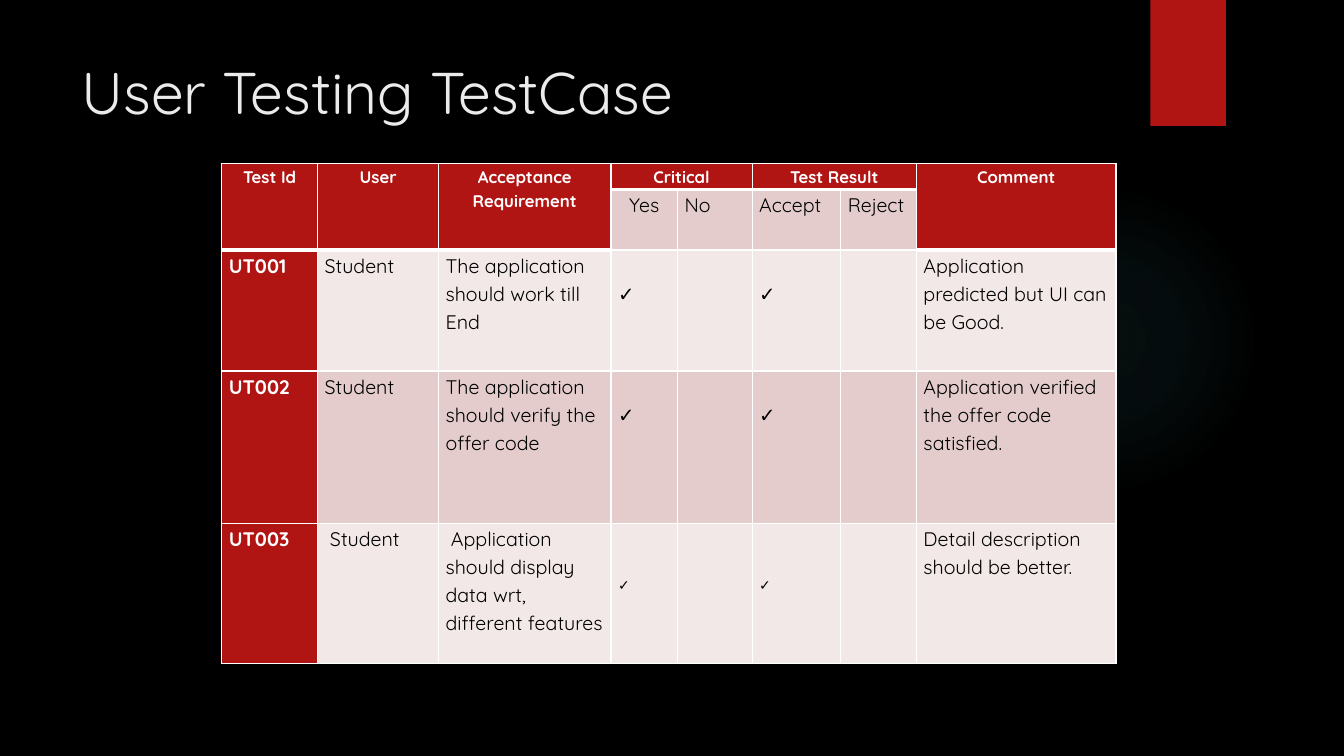
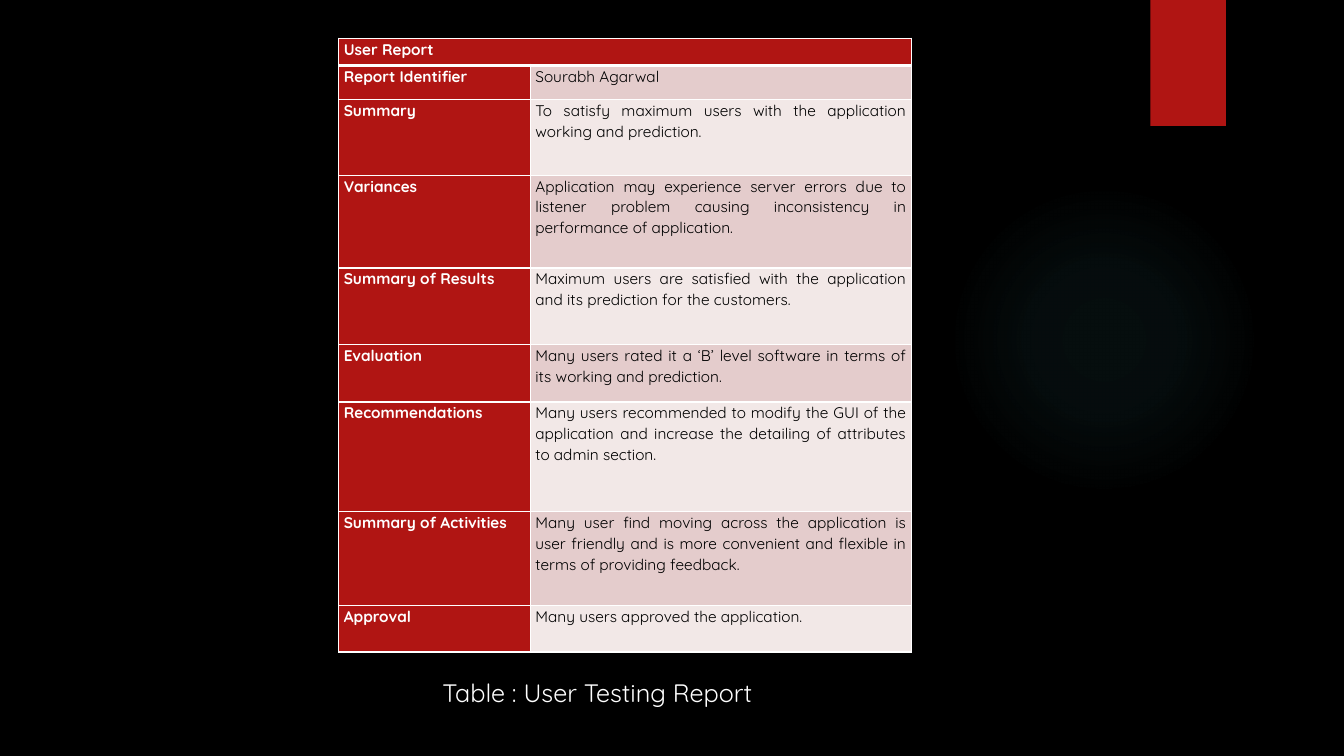
from lxml import etree
from pptx import Presentation
from pptx.dml.color import RGBColor
from pptx.enum.shapes import MSO_SHAPE
from pptx.enum.text import MSO_ANCHOR, PP_ALIGN
from pptx.oxml import parse_xml
from pptx.oxml.ns import qn
from pptx.util import Inches, Pt

RECTANGLE, OVAL = MSO_SHAPE.RECTANGLE, MSO_SHAPE.OVAL
TOP = MSO_ANCHOR.TOP
LEFT, CENTER, JUSTIFY = PP_ALIGN.LEFT, PP_ALIGN.CENTER, PP_ALIGN.JUSTIFY

FONT = "Quicksand"
COLORS = {
    "background": "000000",
    "accent": "B01513",
    "glow": "50B9C1",
    "title": "EBEBEB",
    "white": "FFFFFF",
    "text": "000000",
    "dark_band": "E4CCCC",
    "light_band": "F2E8E7",
}
GLOW_STOPS = [(0, 7), (36, 6), (69, 0)]
TICK = "✓"


def color(name):
    return RGBColor.from_string(COLORS[name])


class Deck:
    """Presentation style together with the slide being built."""

    def __init__(self):
        self.presentation = Presentation()
        self.presentation.slide_width = Inches(13.33)
        self.presentation.slide_height = Inches(7.5)
        fill = self.presentation.slide_master.background.fill
        fill.solid()
        fill.fore_color.rgb = color("background")
        self.slide = None

    def new_slide(self):
        self.slide = self.presentation.slides.add_slide(self.presentation.slide_layouts[6])
        self.glow(9.41, 1.83, 3.08)
        band = self.shape(RECTANGLE, 11.41, 0, 0.75, 1.25)
        band.fill.solid()
        band.fill.fore_color.rgb = color("accent")

    def shape(self, kind, left, top, width, height):
        shape = self.slide.shapes.add_shape(
            kind, Inches(left), Inches(top), Inches(width), Inches(height))
        shape.shadow.inherit = False
        shape.line.fill.background()
        return shape

    def glow(self, left, top, size):
        circle = self.shape(OVAL, left, top, size, size)
        circle.fill.background()
        stops = "".join(
            f'<a:gs pos="{position * 1000}"><a:srgbClr val="{COLORS["glow"]}">'
            f'<a:alpha val="{opacity * 1000}"/></a:srgbClr></a:gs>'
            for position, opacity in GLOW_STOPS)
        gradient = parse_xml(
            '<a:gradFill xmlns:a="http://schemas.openxmlformats.org/drawingml/2006/main">'
            f'<a:gsLst>{stops}</a:gsLst><a:path path="circle">'
            '<a:fillToRect l="50000" t="50000" r="50000" b="50000"/></a:path></a:gradFill>')
        properties = circle.element.spPr
        properties.replace(properties.find(qn("a:noFill")), gradient)

    def format_text(self, text_frame, size, color_name, bold=False, align=LEFT, spacing=1.0):
        for paragraph in text_frame.paragraphs:
            paragraph.alignment = align
            paragraph.line_spacing = spacing
            for run in paragraph.runs:
                run.font.name = FONT
                run.font.size = Pt(size)
                run.font.bold = bold
                run.font.color.rgb = color(color_name)

    def text(self, text, left, top, width, height, size, color_name):
        box = self.slide.shapes.add_textbox(
            Inches(left), Inches(top), Inches(width), Inches(height))
        frame = box.text_frame
        frame.word_wrap = True
        frame.vertical_anchor = TOP
        frame.text = text
        self.format_text(frame, size, color_name)

    def borders(self, cell, widths):
        properties = cell._tc.get_or_add_tcPr()
        for side, width in widths.items():
            line = etree.SubElement(properties, qn(f"a:ln{side}"), w=str(Pt(width)))
            fill = etree.SubElement(line, qn("a:solidFill"))
            etree.SubElement(fill, qn("a:srgbClr"), val=COLORS["white"])

    def table(self, left, top, widths, heights, rows, merges, inset, spacing,
              header_size, body_size, header_align, body_align):
        table = self.slide.shapes.add_table(
            len(heights), len(widths), Inches(left), Inches(top),
            Inches(sum(widths)), Inches(sum(heights))).table
        table.first_row = table.horz_banding = False
        for column, width in zip(table.columns, widths):
            column.width = Inches(width)
        for row, height in zip(table.rows, heights):
            row.height = Inches(height)
        for first, last in merges:
            table.cell(*first).merge(table.cell(*last))
        for row_index, row in enumerate(rows):
            for column_index, text in enumerate(row):
                cell = table.cell(row_index, column_index)
                top_row = row_index == 0
                header = top_row or column_index == 0 or cell.is_spanned
                band = "dark_band" if row_index % 2 else "light_band"
                widths_by_side = {"L": 1, "R": 1}
                if top_row:
                    widths_by_side["T"] = 1
                widths_by_side["B"] = 3 if top_row or cell.is_spanned else 1
                self.borders(cell, widths_by_side)
                cell.fill.solid()
                cell.fill.fore_color.rgb = color("accent" if header else band)
                cell.margin_left = cell.margin_right = Inches(inset)
                cell.margin_top = cell.margin_bottom = 0
                if text:
                    cell.text_frame.text = text
                    self.format_text(
                        cell.text_frame, header_size if top_row else body_size,
                        "white" if header else "text", header,
                        header_align if top_row else body_align, spacing)
        return table


def add_test_cases(deck):
    deck.new_slide()
    deck.text("User Testing TestCase", 0.71, 0.5, 10.29, 1.53, 42, "title")
    rows = [
        ["Test Id", "User", "Acceptance Requirement", "Critical", "", "Test Result", "", "Comment"],
        ["", "", "", "Yes", "No", "Accept", "Reject", ""],
        ["UT001", "Student", "The application should work till End",
         TICK, "", TICK, "", "Application predicted but UI can be Good."],
        ["UT002", "Student", "The application should verify the offer code",
         TICK, "", TICK, "", "Application verified the offer code satisfied."],
        ["UT003", " Student", " Application should display data wrt, different features",
         TICK, "", TICK, "", "Detail description should be better."],
    ]
    merges = [((0, column), (1, column)) for column in (0, 1, 2, 7)]
    merges += [((0, column), (0, column + 1)) for column in (3, 5)]
    table = deck.table(
        2.2, 1.62, [0.95, 1.2, 1.71, 0.66, 0.74, 0.88, 0.75, 1.98],
        [0.26, 0.6, 1.2, 1.51, 1.39], rows, merges, inset=0.07, spacing=1.15,
        header_size=12, body_size=14, header_align=CENTER, body_align=LEFT)
    table.cell(1, 3).text_frame.paragraphs[0].alignment = CENTER
    for row_index, size, offset in [(2, 14, 0.28), (3, 14, 0.28), (4, 10, 0.5)]:
        for column_index in (3, 5):
            cell = table.cell(row_index, column_index)
            cell.margin_top = Inches(offset)
            deck.format_text(cell.text_frame, size, "text", spacing=1.15)


def add_report(deck):
    deck.new_slide()
    rows = [
        ["User Report", ""],
        ["Report Identifier", "Sourabh Agarwal"],
        ["Summary", "To satisfy maximum users with the application working and prediction."],
        ["Variances", "Application may experience server errors due to listener problem "
                      "causing inconsistency in performance of application."],
        ["Summary of Results", "Maximum users are satisfied with the application and its "
                               "prediction for the customers."],
        ["Evaluation", "Many users rated it a ‘B’ level software in terms of its working "
                       "and prediction."],
        ["Recommendations", "Many users recommended to modify the GUI of the application and "
                            "increase the detailing of attributes to admin section."],
        ["Summary of Activities", "Many user find moving across the application is user "
                                  "friendly and is more convenient and flexible in terms of "
                                  "providing feedback."],
        ["Approval", "Many users approved the application."],
    ]
    deck.table(
        3.36, 0.38, [1.9, 3.78], [0.27, 0.34, 0.75, 0.92, 0.76, 0.57, 1.09, 0.93, 0.46],
        rows, [((0, 0), (0, 1))], inset=0.05, spacing=1.07,
        header_size=11, body_size=11, header_align=JUSTIFY, body_align=JUSTIFY)
    deck.text("Table : User Testing Report", 4.29, 6.67, 6.49, 0.4, 18, "white")


def main():
    deck = Deck()
    add_test_cases(deck)
    add_report(deck)
    deck.presentation.save("out.pptx")


if __name__ == "__main__":
    main()
